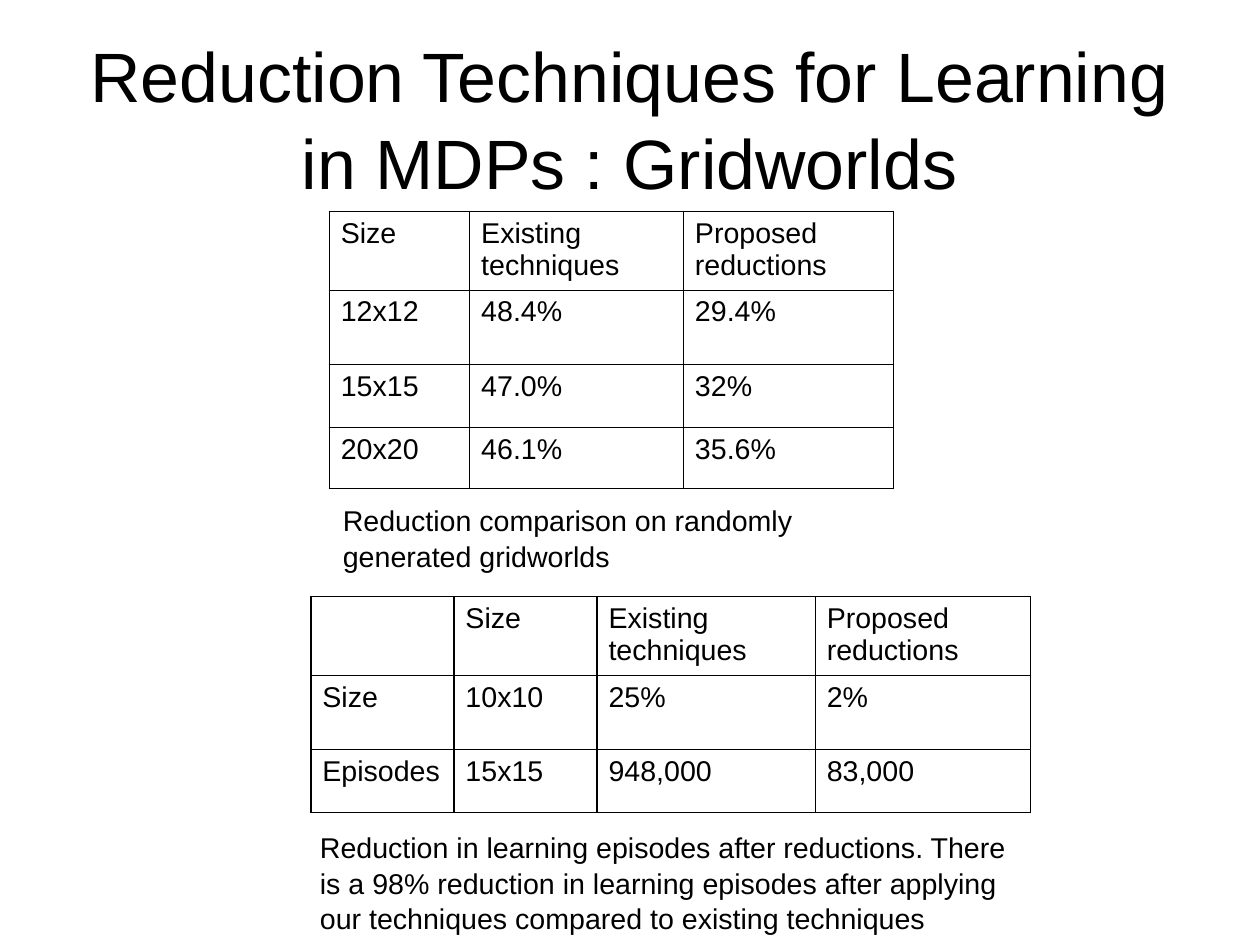
from dataclasses import dataclass

from lxml.etree import SubElement
from pptx import Presentation
from pptx.dml.color import RGBColor
from pptx.enum.text import MSO_ANCHOR as Anchor, MSO_AUTO_SIZE as AutoSize, PP_ALIGN as Align
from pptx.oxml.ns import qn
from pptx.util import Cm, Pt

TITLE = "Reduction Techniques for Learning in MDPs : Gridworlds"
TITLE_BOX = (1.4, 0.84, 25.2, 3.5)
HEADER = ("Size", "Existing techniques", "Proposed reductions")

# Lengths in centimetres
TABLES = [
    dict(
        at=(7.32, 4.7),
        widths=(3.12, 4.75, 4.67),
        heights=(1.75, 1.65, 1.4, 1.35),
        rows=[
            HEADER,
            ("12x12", "48.4%", "29.4%"),
            ("15x15", "47.0%", "32%"),
            ("20x20", "46.1%", "35.6%"),
        ],
    ),
    dict(
        at=(6.91, 13.26),
        widths=(3.18, 3.18, 4.85, 4.78),
        heights=(1.75, 1.65, 1.4),
        rows=[
            ("", *HEADER),
            ("Size", "10x10", "25%", "2%"),
            ("Episodes", "15x15", "948,000", "83,000"),
        ],
    ),
]
CAPTIONS = [
    ("Reduction comparison on randomly generated gridworlds", (7.37, 11.02, 12.95, 1.68)),
    ("Reduction in learning episodes after reductions. There is a 98% reduction in "
     "learning episodes after applying our techniques compared to existing techniques",
     (6.86, 18.29, 16, 2.39)),
]


@dataclass(frozen=True)
class Theme:
    font: str = "Arial"
    ink: str = "000000"
    title: int = 44
    body: int = 18
    border: float = 1
    spacing: float = 1.04


THEME = Theme()


def write(tf, text, size=THEME.body, align=Align.LEFT, spacing=None):
    tf.word_wrap = True
    p = tf.paragraphs[0]
    p.alignment = align
    p.line_spacing = spacing
    if text:
        r = p.add_run()
        r.text = text
        r.font.name = THEME.font
        r.font.size = Pt(size)
        r.font.bold = False
        r.font.color.rgb = RGBColor.from_string(THEME.ink)


def add_borders(cell):
    """Draw all four sides; the lines must precede the fill in the XML."""
    props = cell._tc.get_or_add_tcPr()
    for side in ("lnL", "lnR", "lnT", "lnB"):
        line = SubElement(props, qn(f"a:{side}"), w=str(Pt(THEME.border)))
        fill = SubElement(line, qn("a:solidFill"))
        SubElement(fill, qn("a:srgbClr"), val=THEME.ink)


def add_grid(s, at, widths, heights, rows):
    left, top = at
    table = s.shapes.add_table(
        len(rows), len(widths), Cm(left), Cm(top), Cm(sum(widths)), Cm(sum(heights))
    ).table
    table.first_row = table.horz_banding = False
    for column, width in zip(table.columns, widths):
        column.width = Cm(width)
    for row, height, texts in zip(table.rows, heights, rows):
        row.height = Cm(height)
        for cell, text in zip(row.cells, texts):
            add_borders(cell)
            cell.fill.background()
            write(cell.text_frame, text)


def add_title(s):
    sp = s.shapes.title
    sp.left, sp.top, sp.width, sp.height = map(Cm, TITLE_BOX)
    tf = sp.text_frame
    tf.margin_left = tf.margin_right = tf.margin_top = tf.margin_bottom = 0
    tf.vertical_anchor = Anchor.MIDDLE
    tf.auto_size = AutoSize.NONE
    write(tf, TITLE, size=THEME.title, align=Align.CENTER, spacing=THEME.spacing)


def main():
    prs = Presentation()
    prs.slide_width, prs.slide_height = Cm(28), Cm(21)
    s = prs.slides.add_slide(prs.slide_layouts[5])
    add_title(s)
    for grid in TABLES:
        add_grid(s, **grid)
    for text, box in CAPTIONS:
        sp = s.shapes.add_textbox(*map(Cm, box))
        write(sp.text_frame, text, spacing=THEME.spacing)
    prs.save("out.pptx")


if __name__ == "__main__":
    main()
